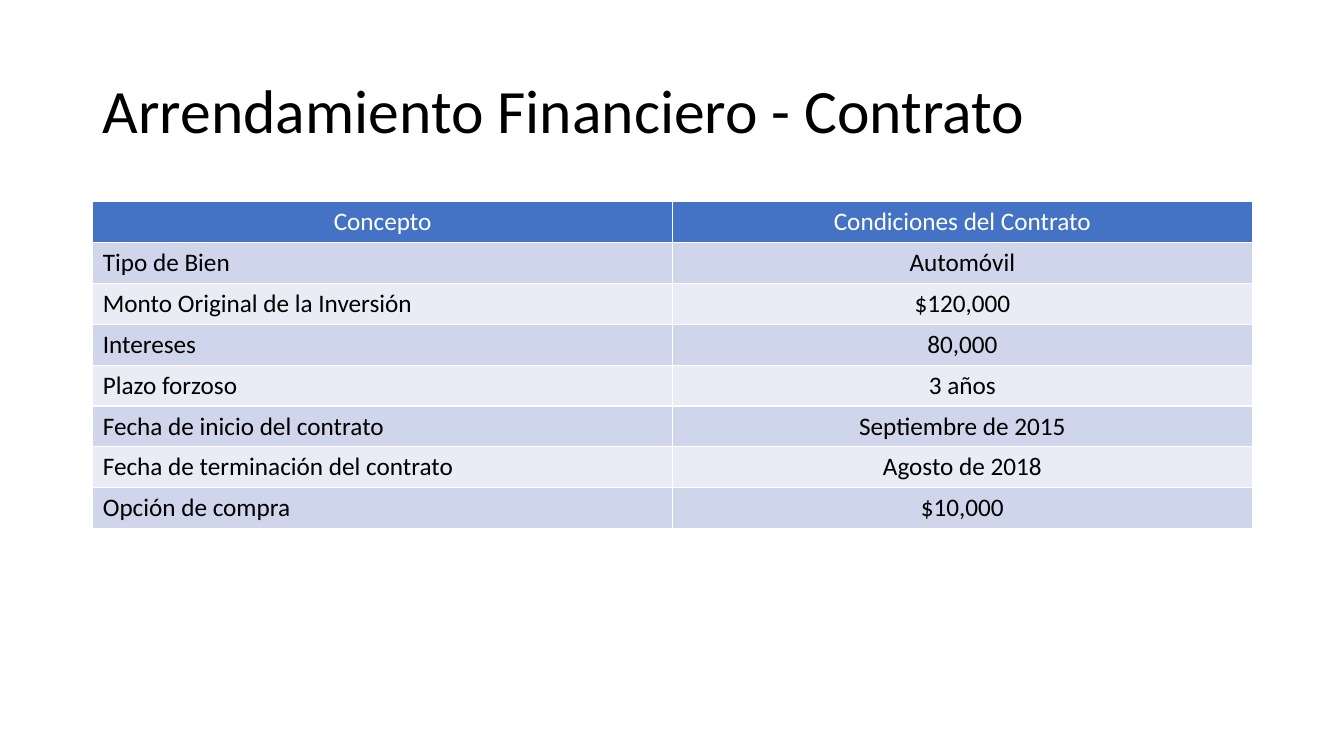
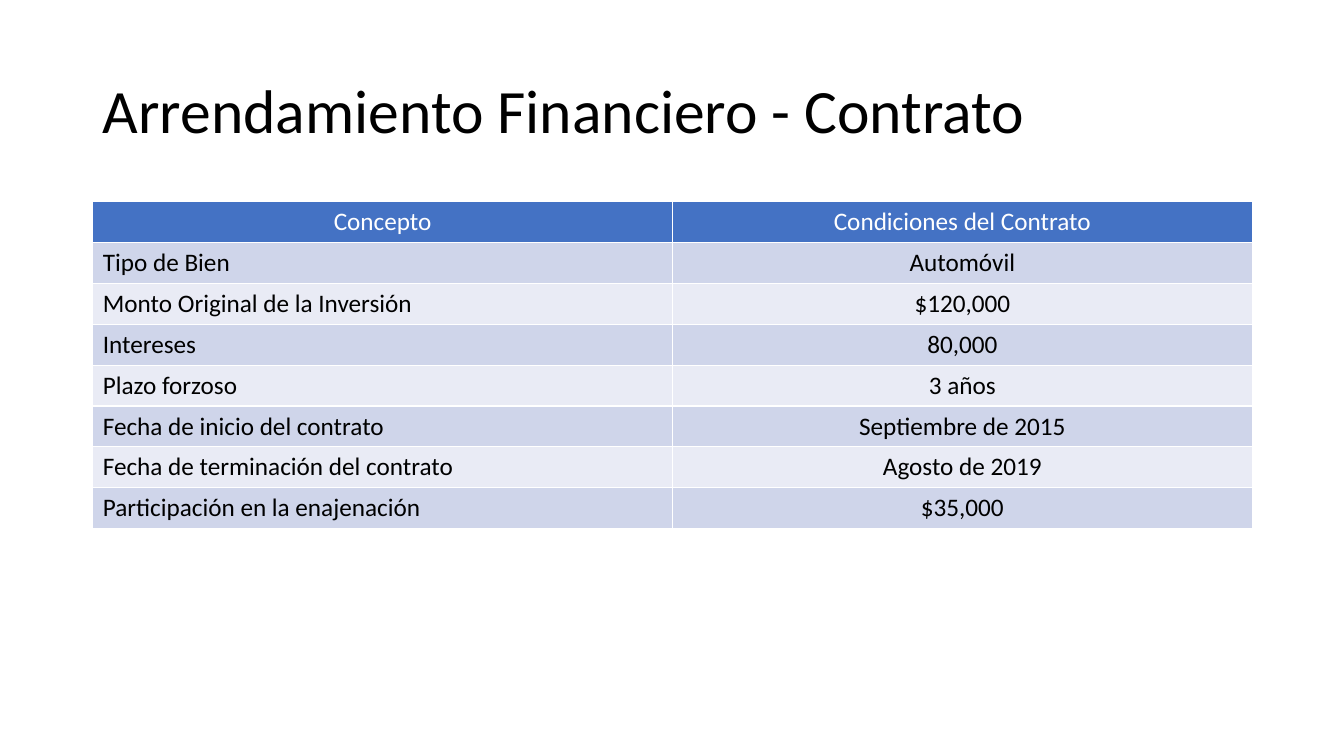
from dataclasses import dataclass

from pptx import Presentation
from pptx.dml.color import RGBColor as Color
from pptx.enum.text import MSO_ANCHOR as Anchor, MSO_AUTO_SIZE as AutoSize, PP_ALIGN as Align
from pptx.util import Inches, Pt


@dataclass(frozen=True)
class Theme:
    font: str = "Calibri"
    title_size: int = 44
    table_size: int = 18
    ink: str = "000000"
    header_ink: str = "FFFFFF"
    header_fill: str = "4472C4"
    band_fills: tuple = ("CFD5EA", "E9EBF5")
    left: float = 0.92
    width: float = 11.5


class ContractDeck:
    """Builds contract slides that share one theme."""

    def __init__(self, theme):
        self.theme = theme
        self.deck = Presentation()
        self.deck.slide_width = Inches(13.33)
        self.deck.slide_height = Inches(7.5)
        self.page = None

    def add_page(self, title):
        self.page = self.deck.slides.add_slide(self.deck.slide_layouts[5])
        box = self.page.shapes.title
        box.left, box.top = Inches(self.theme.left), Inches(0.4)
        box.width, box.height = Inches(self.theme.width), Inches(1.45)
        frame = box.text_frame
        frame.text = title
        frame.word_wrap = True
        frame.auto_size = AutoSize.NONE
        frame.vertical_anchor = Anchor.MIDDLE
        para = frame.paragraphs[0]
        para.line_spacing = 0.9
        self.style(para, self.theme.title_size, self.theme.ink, Align.LEFT)

    def add_table(self, rows):
        theme = self.theme
        table = self.page.shapes.add_table(
            len(rows), len(rows[0]), Inches(theme.left), Inches(2),
            Inches(theme.width), Inches(0.405 * len(rows))).table
        for row, texts in enumerate(rows):
            header = row == 0
            fill = theme.header_fill if header else theme.band_fills[(row - 1) % 2]
            ink = theme.header_ink if header else theme.ink
            for column, text in enumerate(texts):
                cell = table.cell(row, column)
                cell.text = text
                cell.fill.solid()
                cell.fill.fore_color.rgb = Color.from_string(fill)
                align = Align.CENTER if header or column else Align.LEFT
                self.style(cell.text_frame.paragraphs[0], theme.table_size, ink, align)

    def style(self, para, size, ink, align):
        para.alignment = align
        para.font.name = self.theme.font
        para.font.size = Pt(size)
        para.font.bold = False
        para.font.color.rgb = Color.from_string(ink)

    def save(self):
        self.deck.save("out.pptx")


TITLE = "Arrendamiento Financiero - Contrato"
SHARED_ROWS = [
    ("Concepto", "Condiciones del Contrato"),
    ("Tipo de Bien", "Automóvil"),
    ("Monto Original de la Inversión", "$120,000"),
    ("Intereses", "80,000"),
    ("Plazo forzoso", "3 años"),
    ("Fecha de inicio del contrato", "Septiembre de 2015"),
]
CONTRACT_ENDINGS = [
    ("Agosto de 2018", ("Opción de compra", "$10,000")),
    ("Agosto de 2019", ("Participación en la enajenación", "$35,000")),
]


def main():
    contracts = ContractDeck(Theme())
    for end_date, final_option in CONTRACT_ENDINGS:
        contracts.add_page(TITLE)
        end_row = ("Fecha de terminación del contrato", end_date)
        contracts.add_table(SHARED_ROWS + [end_row, final_option])
    contracts.save()


if __name__ == "__main__":
    main()
